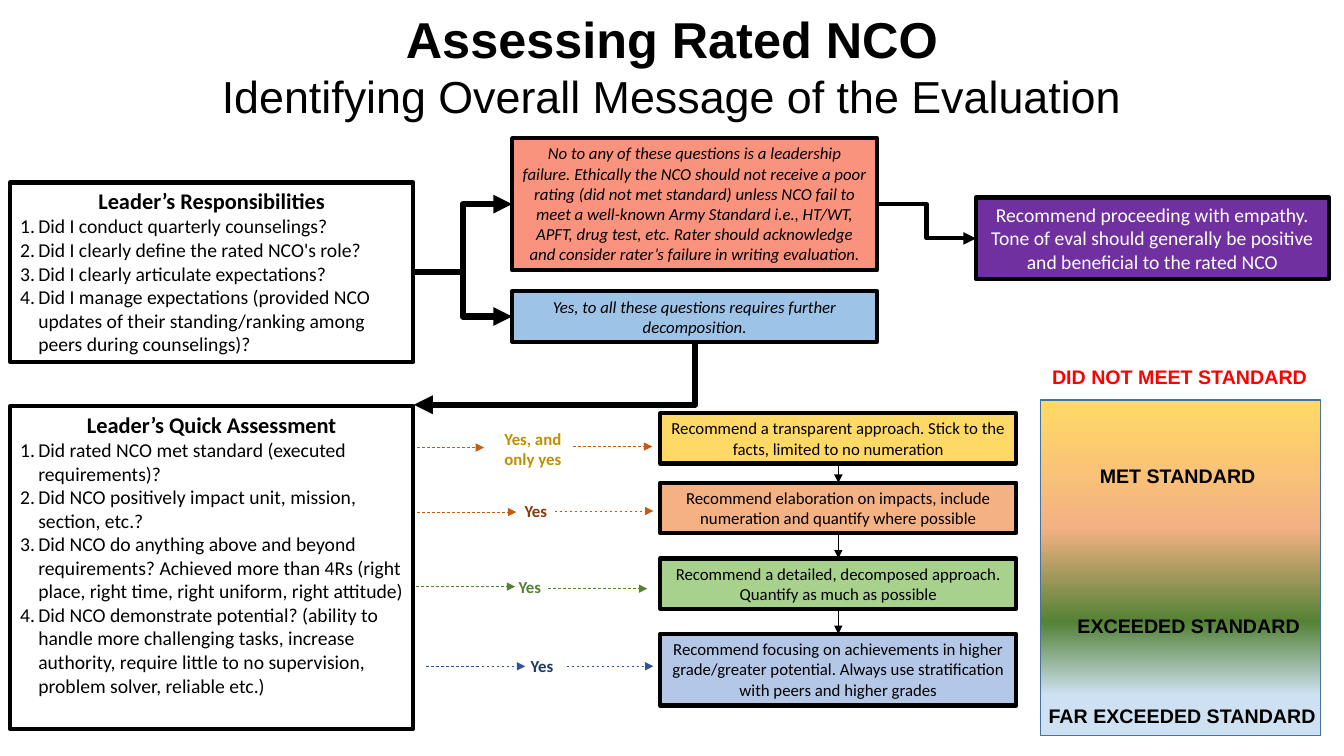
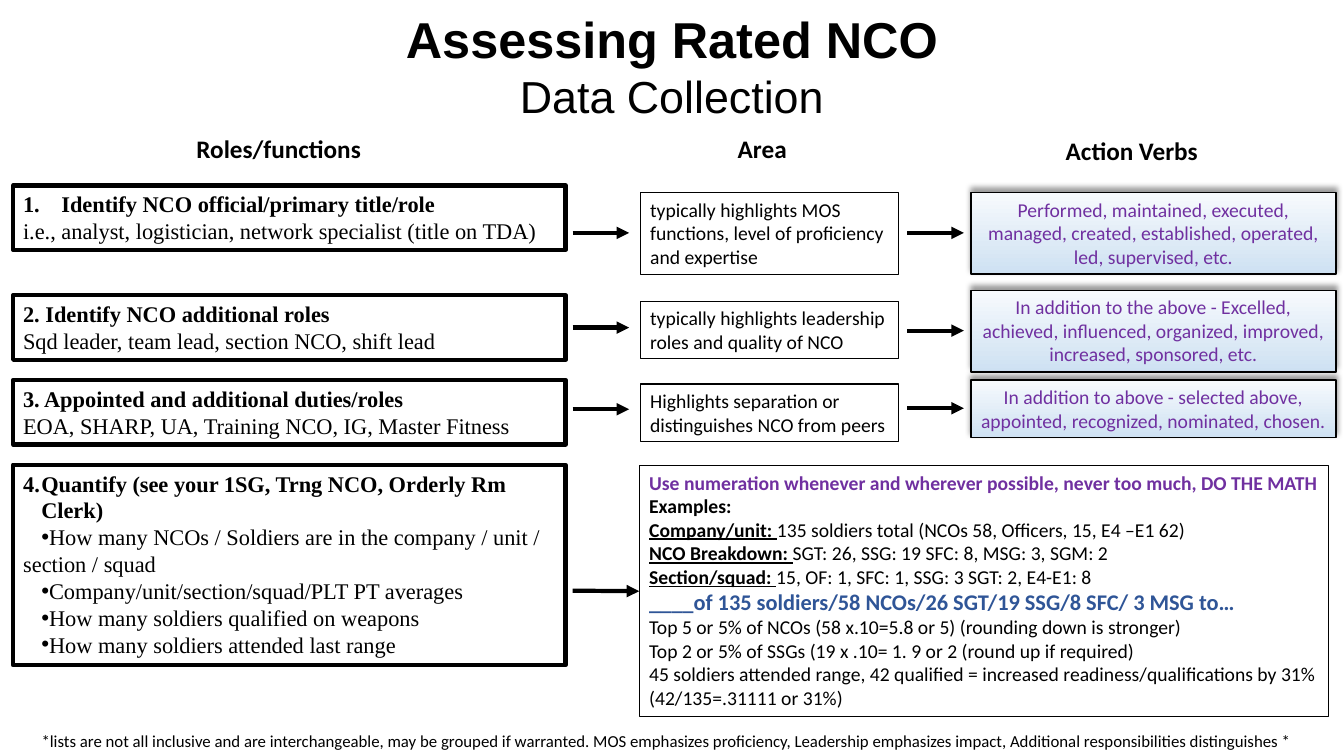
"""Build two slides on assessing a rated NCO: a decision flow and a data collection chart."""
from dataclasses import dataclass, replace
from itertools import pairwise

from lxml.etree import SubElement
from pptx import Presentation
from pptx.dml.color import RGBColor
from pptx.enum.dml import MSO_LINE
from pptx.enum.shapes import MSO_CONNECTOR as Route, MSO_SHAPE
from pptx.enum.text import MSO_ANCHOR, MSO_AUTO_SIZE, PP_ALIGN as Align
from pptx.oxml.ns import qn
from pptx.util import Emu, Pt

SCALE = 9144


@dataclass(frozen=True)
class Theme:
    black: str = "000000"
    white: str = "FFFFFF"
    purple: str = "7030A0"
    salmon: str = "FA937E"
    sky: str = "9DC3E6"
    navy: str = "2F5597"
    red: str = "FF0000"
    rust: str = "C55A11"
    green: str = "548235"
    frame: str = "43739E"
    scale_stops: tuple = ((0, "FFD966"), (38, "F4B183"), (66, "548235"), (88, "CEE1F2"))
    verb_stops: tuple = ((0, "F7FAFD"), (100, "CEE1F2"))
    title: int = 36
    subtitle: int = 32
    column: int = 18
    heading: int = 16
    body: int = 14
    small: int = 12


THEME = Theme()


@dataclass(frozen=True)
class Style:
    size: int
    font: str = "Calibri"
    colour: str = THEME.black
    bold: bool = False
    italic: bool = False
    underline: bool = False


@dataclass(frozen=True)
class Para:
    runs: tuple
    align: Align = Align.LEFT
    mark: str = ""
    start: int = 1
    margin: int = 0
    indent: int = 0
    level: int = 0


SMALL = Style(THEME.small)
BODY = Style(THEME.body)
HEADING = Style(THEME.heading, bold=True)
ROLE = Style(THEME.heading, "Times New Roman")
ROLE_HEAD = replace(ROLE, bold=True)


def px(length):
    return Emu(length * SCALE)


def line_of(text, style, align=Align.LEFT, **layout):
    return Para(((text, style),), align, **layout)


def centred(text, style):
    return [line_of(text, style, Align.CENTER)]


def mark_paragraph(paragraph, para):
    properties = paragraph._p.get_or_add_pPr()
    properties.set("marL", str(px(para.margin)))
    properties.set("indent", str(px(para.indent)))
    if para.mark == "number":
        SubElement(properties, qn("a:buAutoNum"), type="arabicPeriod", startAt=str(para.start))
    elif para.mark:
        SubElement(properties, qn("a:buFont"), typeface="Arial")
        SubElement(properties, qn("a:buChar"), char=para.mark)
    else:
        SubElement(properties, qn("a:buNone"))


def write(frame, paras):
    frame.word_wrap = True
    frame.auto_size = MSO_AUTO_SIZE.NONE
    frame.vertical_anchor = MSO_ANCHOR.TOP
    for position, para in enumerate(paras):
        paragraph = frame.add_paragraph() if position else frame.paragraphs[0]
        paragraph.level = para.level
        paragraph.alignment = para.align
        paragraph.space_before = Pt(0)
        mark_paragraph(paragraph, para)
        for text, style in para.runs:
            run = paragraph.add_run()
            run.text = text
            run.font.size = Pt(style.size)
            run.font.name = style.font
            run.font.bold = style.bold
            run.font.italic = style.italic
            run.font.underline = style.underline
            run.font.color.rgb = RGBColor.from_string(style.colour)


def outline(target, colour, width):
    target.line.color.rgb = RGBColor.from_string(colour)
    target.line.width = Pt(width)


def place(holder, area, paras):
    holder.left, holder.top, holder.width, holder.height = map(px, area)
    write(holder.text_frame, paras)
    return holder


def add_page(deck, layout, subtitle):
    slide = deck.slides.add_slide(deck.slide_layouts[layout])
    name = Style(THEME.title, "Arial", bold=True)
    place(slide.shapes.title, (0, 3, 1333, 125),
          centred("Assessing Rated NCO", name) + centred(subtitle, Style(THEME.subtitle, "Arial")))
    return slide


def add_list(slide, index, area, paras):
    holder = place(slide.placeholders[index], area, paras)
    outline(holder, THEME.black, 3)
    return holder


def add_box(slide, area, paras=(), fill=None, width=3, colour=THEME.black):
    box = slide.shapes.add_shape(MSO_SHAPE.RECTANGLE, *map(px, area))
    box.shadow.inherit = False
    outline(box, colour, width)
    if isinstance(fill, tuple):
        box.fill.gradient()
        box.fill.gradient_angle = 270
        stops = box.element.spPr.find(".//" + qn("a:gsLst"))
        stops.clear()
        for percent, shade in fill:
            stop = SubElement(stops, qn("a:gs"), pos=str(percent * 1000))
            SubElement(stop, qn("a:srgbClr"), val=shade)
    elif fill:
        box.fill.solid()
        box.fill.fore_color.rgb = RGBColor.from_string(fill)
    else:
        box.fill.background()
    write(box.text_frame, paras)
    return box


def cast_shadow(box):
    effects = box.element.spPr.find(qn("a:effectLst"))
    shadow = SubElement(effects, qn("a:outerShdw"), blurRad=str(Pt(4)), dist=str(Pt(3)),
                        dir="16200000", rotWithShape="0")
    shade = SubElement(shadow, qn("a:srgbClr"), val=THEME.black)
    SubElement(shade, qn("a:alpha"), val="40000")


def add_label(slide, area, paras):
    write(slide.shapes.add_textbox(*map(px, area)).text_frame, paras)


def add_arrow(slide, ends=(0, 0, 0, 0), width=3, colour=THEME.black, route=Route.STRAIGHT,
              begin=None, end=None, dashed=False):
    arrow = slide.shapes.add_connector(route, *map(px, ends))
    if begin:
        arrow.begin_connect(*begin)
    if end:
        arrow.end_connect(*end)
    outline(arrow, colour, width)
    if dashed:
        arrow.line.dash_style = MSO_LINE.DASH
    properties = arrow.element.spPr
    SubElement(properties.find(qn("a:ln")), qn("a:tailEnd"), type="triangle")
    SubElement(properties, qn("a:effectLst"))
    return arrow


def add_corner_arrow(slide, ends, width):
    properties = add_arrow(slide, ends, width, route=Route.ELBOW).element.spPr
    properties.find(qn("a:prstGeom")).set("prst", "bentConnector2")
    properties.find(qn("a:xfrm")).set("rot", "5400000")


def questions(heading, items):
    return centred(heading, HEADING) + [
        line_of(item, BODY, mark="number", margin=18, indent=-18) for item in items]


def add_responsibilities(slide):
    duties = add_list(slide, 1, (10, 181, 400, 178), questions("Leader’s Responsibilities", [
        "Did I conduct quarterly counselings?",
        "Did I clearly define the rated NCO's role?",
        "Did I clearly articulate expectations?",
        "Did I manage expectations (provided NCO updates of their standing/ranking among peers "
        "during counselings)?"]))
    answer = replace(SMALL, italic=True)
    failure = add_box(slide, (508, 137, 362, 131), centred(
        "No to any of these questions is a leadership failure. Ethically the NCO should not "
        "receive a poor rating (did not met standard) unless NCO fail to meet a well-known Army "
        "Standard i.e., HT/WT, APFT, drug test, etc. Rater should acknowledge and consider "
        "rater’s failure in writing evaluation.", answer), THEME.salmon)
    proceed = add_box(slide, (508, 289, 362, 50), centred(
        "Yes, to all these questions requires further decomposition.", answer), THEME.sky)
    empathy = add_box(slide, (968, 196, 350, 81), centred(
        "Recommend proceeding with empathy. Tone of eval should generally be positive and "
        "beneficial to the rated NCO", replace(BODY, colour=THEME.white)), THEME.purple)
    for source, target, width in ((duties, failure, 4.5), (failure, empathy, 3),
                                  (duties, proceed, 4.5)):
        add_arrow(slide, width=width, route=Route.ELBOW, begin=(source, 3), end=(target, 1))
    add_corner_arrow(slide, (519, 231, 581, 510), 4.5)


def add_assessment(slide):
    add_list(slide, 2, (10, 403, 400, 320), questions("Leader’s Quick Assessment", [
        "Did rated NCO met standard (executed requirements)?",
        "Did NCO positively impact unit, mission, section, etc.?",
        "Did NCO do anything above and beyond requirements? Achieved more than 4Rs (right place, "
        "right time, right uniform, right attitude)",
        "Did NCO demonstrate potential? (ability to handle more challenging tasks, increase "
        "authority, require little to no supervision, problem solver, reliable etc.)"]))
    outcomes = (
        ("Yes, and only yes", "BF9000", (479, 420, 99, 50), THEME.rust,
         (414, 444, 480, 444), (568, 443, 647, 443), "FFD966", 410, 50,
         "Recommend a transparent approach. Stick to the facts, limited to no numeration"),
        ("Yes", "843C0B", (501, 492, 61, 30), THEME.rust,
         (414, 508, 512, 508), (550, 507, 648, 507), "F4B183", 479, 50,
         "Recommend elaboration on impacts, include numeration and quantify where possible"),
        ("Yes", THEME.green, (495, 567, 61, 30), THEME.green,
         (413, 582, 511, 582), (544, 584, 642, 584), "A9D18E", 554, 50,
         "Recommend a detailed, decomposed approach. Quantify as much as possible"),
        ("Yes", "203864", (507, 646, 61, 30), THEME.navy,
         (423, 661, 521, 661), (562, 661, 648, 661), "B4C7E7", 629, 71,
         "Recommend focusing on achievements in higher grade/greater potential. Always use "
         "stratification with peers and higher grades"))
    advice = []
    for answer, ink, spot, stroke, before, after, fill, top, height, text in outcomes:
        add_label(slide, spot, centred(answer, replace(SMALL, colour=ink, bold=True)))
        for ends in (before, after):
            add_arrow(slide, ends, 0.5, stroke, dashed=True)
        advice.append(add_box(slide, (655, top, 353, height), centred(text, SMALL), fill))
    for upper, lower in pairwise(advice):
        add_arrow(slide, width=0.5, begin=(upper, 2), end=(lower, 0))


def add_standards(slide):
    add_box(slide, (1032, 397, 278, 333), fill=THEME.scale_stops, width=1, colour=THEME.frame)
    for text, area, colour in (
            ("FAR EXCEEDED STANDARD", (1023, 693, 299, 34), THEME.black),
            ("EXCEEDED STANDARD", (1040, 604, 278, 34), THEME.black),
            ("MET STANDARD", (1029, 455, 278, 34), THEME.black),
            ("DID NOT MEET STANDARD", (1031, 357, 278, 34), THEME.red)):
        add_label(slide, area, centred(text, Style(THEME.body, "Arial", colour, bold=True)))


def add_roles(slide):
    roles = (
        (184, 231, line_of("Identify NCO official/primary title/role", ROLE_HEAD,
                           mark="number", margin=38, indent=-38),
         "i.e., analyst, logistician, network specialist (title on TDA)",
         191, 81, "typically highlights MOS functions, level of proficiency and expertise",
         191, 81, "Performed, maintained, executed, managed, created, established, operated, "
                  "led, supervised, etc."),
        (293, 325, line_of("2. Identify NCO additional roles", ROLE_HEAD),
         "Sqd leader, team lead, section NCO, shift lead",
         299, 57, "typically highlights leadership roles and quality of NCO",
         288, 81, "In addition to the above - Excelled, achieved, influenced, organized, "
                  "improved, increased, sponsored, etc."),
        (377, 406, line_of("3. Appointed and additional duties/roles", ROLE_HEAD),
         "EOA, SHARP, UA, Training NCO, IG, Master Fitness",
         381, 57, "Highlights separation or distinguishes NCO from peers",
         377, 57, "In addition to above - selected above, appointed, recognized, nominated, "
                  "chosen."))
    for (role_top, arrow_y, head, detail, area_top, area_height, area,
         verb_top, verb_height, verbs) in roles:
        add_box(slide, (13, role_top, 548, 64), [head, line_of(detail, ROLE)])
        add_box(slide, (635, area_top, 256, area_height), [line_of(area, BODY)], width=0.75)
        cast_shadow(add_box(slide, (963, verb_top, 362, verb_height),
                            centred(verbs, replace(BODY, colour=THEME.purple)),
                            THEME.verb_stops, 1))
        verb_y = verb_top + (verb_height + 1) // 2 - 1
        add_arrow(slide, (568, arrow_y, 624, arrow_y))
        add_arrow(slide, (900, verb_y, 956, verb_y))


def add_numbers(slide):
    head = line_of("Quantify (see your 1SG, Trng NCO, Orderly Rm Clerk)", ROLE_HEAD,
                   mark="number", start=4, margin=18, indent=-18)
    add_list(slide, 1, (13, 461, 548, 199), [head] + [
        line_of(text, ROLE, mark="•", indent=18, level=1) for text in (
            "How many NCOs / Soldiers are in the company / unit / section / squad",
            "Company/unit/section/squad/PLT PT averages",
            "How many soldiers qualified on weapons",
            "How many soldiers attended last range")])
    strong = replace(BODY, bold=True)
    counts = [Para(((name, replace(strong, underline=True)), (count, BODY))) for name, count in (
        ("Company/unit: ", "135 soldiers total (NCOs 58, Officers, 15, E4 –E1 62)"),
        ("NCO Breakdown: ", "SGT: 26, SSG: 19 SFC: 8, MSG: 3, SGM: 2"),
        ("Section/squad: ", "15, OF: 1, SFC: 1, SSG: 3 SGT: 2, E4-E1: 8"))]
    examples = add_box(slide, (634, 462, 684, 249), [
        line_of("Use numeration whenever and wherever possible, never too much, DO THE MATH",
                replace(strong, colour=THEME.purple)),
        line_of("Examples:", strong), *counts,
        line_of("____of 135 soldiers/58 NCOs/26 SGT/19 SSG/8 SFC/ 3 MSG to…",
                replace(HEADING, colour=THEME.navy)),
        line_of("Top 5 or 5% of NCOs (58 x.10=5.8 or 5) (rounding down is stronger)", BODY),
        line_of("Top 2 or 5% of SSGs (19 x .10= 1. 9 or 2 (round up if required)", BODY),
        line_of("45 soldiers attended range, 42 qualified = increased readiness/qualifications "
                "by 31% (42/135=.31111 or 31%)", BODY)], width=0.75)
    add_arrow(slide, (568, 586, 634, 586), end=(examples, 1))


def main():
    deck = Presentation()
    deck.slide_width, deck.slide_height = px(1333), px(750)
    flow = add_page(deck, 3, "Identifying Overall Message of the Evaluation")
    add_responsibilities(flow)
    add_assessment(flow)
    add_standards(flow)
    collection = add_page(deck, 1, "Data Collection")
    for text, area in (("Roles/functions", (175, 127, 203, 40)), ("Area", (704, 127, 104, 40)),
                       ("Action Verbs", (995, 129, 255, 40))):
        add_label(collection, area, centred(text, Style(THEME.column, bold=True)))
    add_roles(collection)
    add_numbers(collection)
    add_label(collection, (0, 720, 1323, 30), centred(
        "*lists are not all inclusive and are interchangeable, may be grouped if warranted. MOS "
        "emphasizes proficiency, Leadership emphasizes impact, Additional responsibilities "
        "distinguishes *", SMALL))
    deck.save("out.pptx")


if __name__ == "__main__":
    main()
